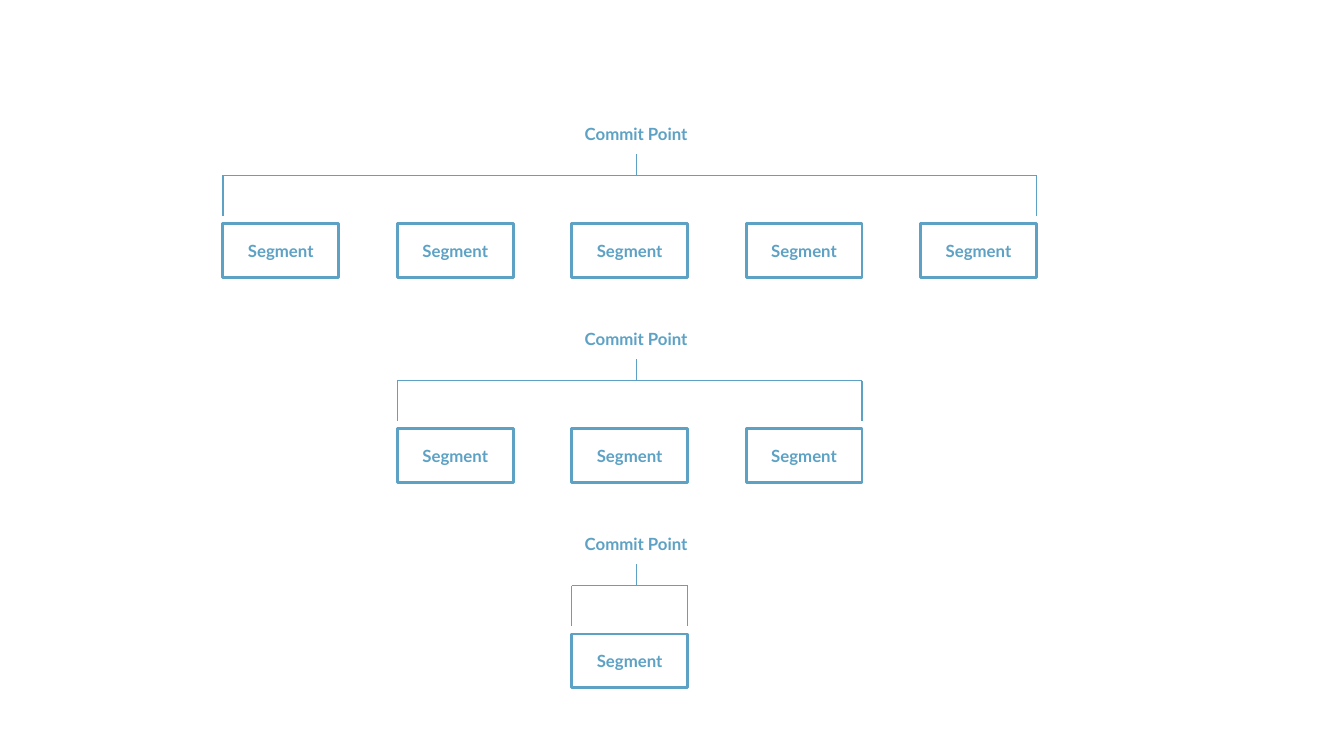
from pptx import Presentation, util as u
from pptx.dml.color import RGBColor
from pptx.enum import shapes as s, text as t
from pptx.oxml.ns import qn

# Content: each commit point with the segments it covers
LEVELS = [
    ("Commit Point", ["Segment"] * 5),
    ("Commit Point", ["Segment"] * 3),
    ("Commit Point", ["Segment"]),
]

THEME = dict(ink=RGBColor(0x5D, 0xA2, 0xC5), font="Lato", size=12, box=2, line=1)

# Grid, in inches
WIDE, HIGH = 13.33, 7.5
COLS, LEFT, STEP = 5, 2.21, 1.73    # segment columns
TOP, DROP = 1.18, 2.035             # levels
BOX_W, BOX_H = 1.15, 0.53
LABEL_W, LABEL_H = 1.73, 0.3
STEM_X = 6.31
# Offsets below the top of a level
STEM, BAR, LEGS, BOXES = 0.35, 0.56, 0.96, 1.04

deck = Presentation()
deck.slide_width, deck.slide_height = u.Inches(WIDE), u.Inches(HIGH)
slide = deck.slides.add_slide(deck.slide_layouts[6])


def write(shape, words, size=THEME["size"], color=THEME["ink"], bold=True):
    """Set centred text in a shape."""
    frame = shape.text_frame
    frame.word_wrap = True
    frame.vertical_anchor = t.MSO_ANCHOR.MIDDLE
    para = frame.paragraphs[0]
    para.alignment = t.PP_ALIGN.CENTER
    run = para.add_run()
    run.text = words
    font = run.font
    font.name, font.size, font.bold = THEME["font"], u.Pt(size), bold
    font.color.rgb = color


def label(words, x, y):
    """Add a text box that holds a commit point's name."""
    area = map(u.Inches, (x, y, LABEL_W, LABEL_H))
    write(slide.shapes.add_textbox(*area), words)


def box(words, x, y):
    """Add an outlined segment box."""
    area = map(u.Inches, (x, y, BOX_W, BOX_H))
    shape = slide.shapes.add_shape(s.MSO_SHAPE.RECTANGLE, *area)
    shape.shadow.inherit = False
    shape.fill.background()
    shape.line.color.rgb = THEME["ink"]
    shape.line.width = u.Pt(THEME["box"])
    write(shape, words)


def line(*ends):
    """Add a straight line from x1, y1 to x2, y2."""
    link = slide.shapes.add_connector(s.MSO_CONNECTOR.STRAIGHT, *map(u.Inches, ends))
    link.line.color.rgb = THEME["ink"]
    link.line.width = u.Pt(THEME["line"])
    props = link._element.spPr
    props.append(props.makeelement(qn("a:effectLst"), {}))


def level(name, parts, y):
    """Draw a commit point, its bracket and its centred row of segments."""
    start = LEFT + (COLS - len(parts)) / 2 * STEP
    end = start + (len(parts) - 1) * STEP + BOX_W
    for x in (start, end):
        line(x, y + BAR, x, y + LEGS)
    line(start, y + BAR, end, y + BAR)
    line(STEM_X, y + STEM, STEM_X, y + BAR)
    label(name, STEM_X - LABEL_W / 2, y)
    for col, words in enumerate(parts):
        box(words, start + col * STEP, y + BOXES)


for row, (name, parts) in enumerate(LEVELS):
    level(name, parts, TOP + row * DROP)

deck.save("out.pptx")
